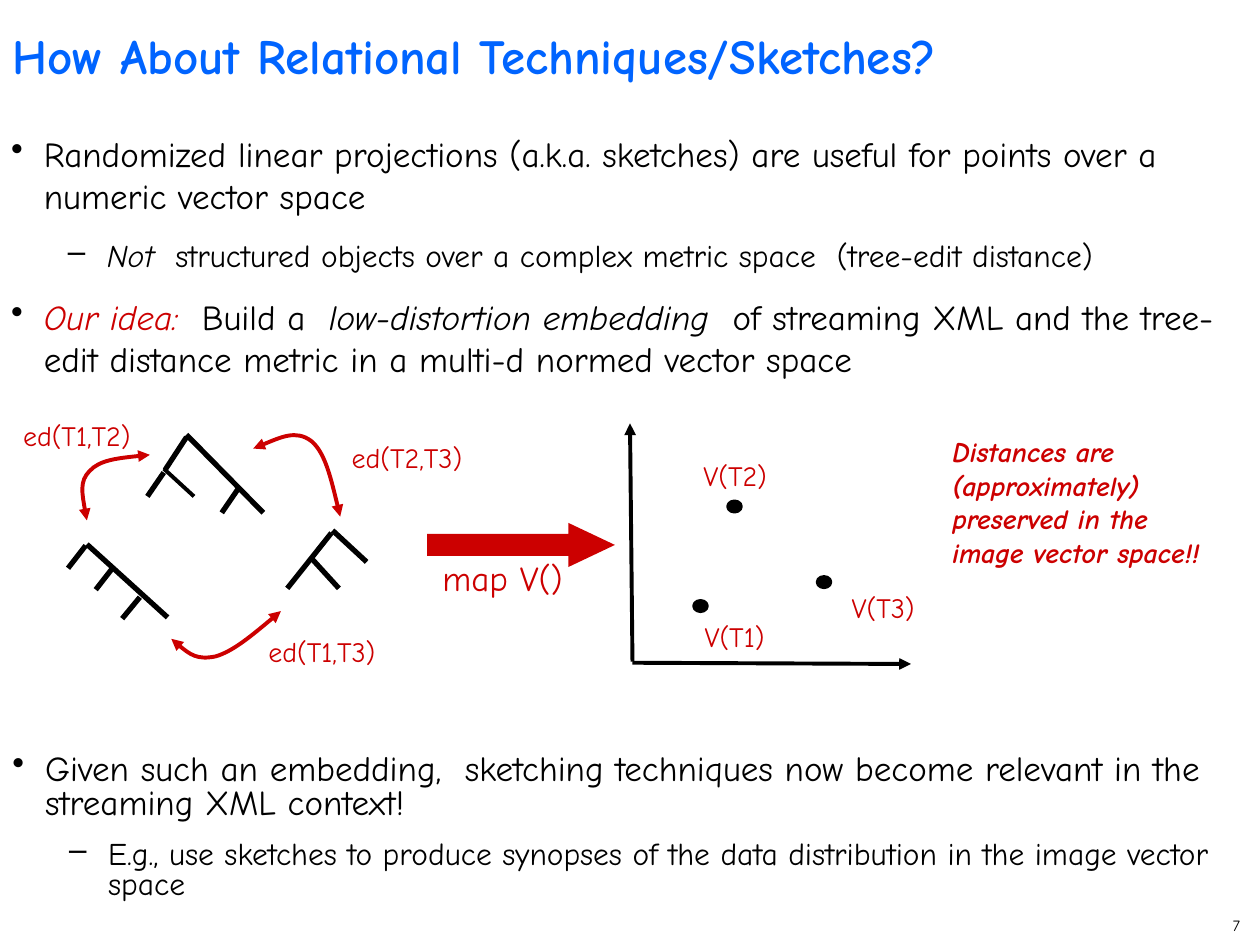
"""Build the slide on embedding XML trees into a vector space."""
from lxml.etree import SubElement
from pptx import Presentation
from pptx.dml.color import RGBColor
from pptx.enum.shapes import MSO_CONNECTOR, MSO_SHAPE as Shape
from pptx.enum.text import MSO_ANCHOR as Anchor, PP_ALIGN as Align
from pptx.oxml.ns import qn
from pptx.util import Inches, Pt

BLACK = RGBColor(0x00, 0x00, 0x00)
BLUE = RGBColor(0x00, 0x64, 0xFF)
RED = RGBColor(0xCC, 0x00, 0x00)
BULLETS = [("•", 0.26, -0.26, 20, 12.5), ("–", 0.76, -0.31, 18, 11.2)]


class Sketch:
    def __init__(self, page, font):
        self.page = page
        self.font = font

    def box(self, left, top, width, height, wrap=True, anchor=Anchor.TOP):
        box = self.page.shapes.add_textbox(*map(Inches, (left, top, width, height)))
        frame = box.text_frame
        frame.word_wrap = wrap
        frame.vertical_anchor = anchor
        return frame

    def style(self, para, size, color, bold=None, italic=None):
        font = para.font
        font.name, font.size = self.font, Pt(size)
        font.bold, font.italic = bold, italic
        font.color.rgb = color

    def text(self, place, words, size, color, align=Align.LEFT, wrap=True,
             anchor=Anchor.TOP, bold=None, italic=None):
        frame = self.box(*place, wrap, anchor)
        para = frame.paragraphs[0]
        para.text = words
        para.alignment = align
        self.style(para, size, color, bold, italic)
        return frame

    def label(self, left, top, width, words, size=16, height=0.37):
        self.text((left, top, width, height), words, size, RED, Align.CENTER, wrap=False)

    def bullets(self, place, items, spacing=None):
        frame = self.box(*place)
        for index, (level, spans) in enumerate(items):
            para = frame.add_paragraph() if index else frame.paragraphs[0]
            char, margin, indent, size, gap = BULLETS[level]
            para.level = level
            para.line_spacing = spacing
            if index:
                para.space_before = Pt(gap)
            props = para._p.get_or_add_pPr()
            props.set("marL", str(Inches(margin)))
            props.set("indent", str(Inches(indent)))
            tint = SubElement(props, qn("a:buClr"))
            SubElement(tint, qn("a:srgbClr"), val=str(BLACK))
            SubElement(props, qn("a:buChar"), char=char)
            self.style(para, size, BLACK)
            for words, italic, color in spans:
                span = para.add_run()
                span.text = words
                if italic:
                    span.font.italic = True
                if color != BLACK:
                    span.font.color.rgb = color

    def stroke(self, shape, color, weight, ends=()):
        shape.line.color.rgb = color
        shape.line.width = Pt(weight)
        for end in ends:
            SubElement(shape.line._get_or_add_ln(), qn(f"a:{end}"), type="triangle")

    def line(self, start, finish, weight=3, ends=()):
        line = self.page.shapes.add_connector(
            MSO_CONNECTOR.STRAIGHT, *map(Inches, (*start, *finish)))
        self.stroke(line, BLACK, weight, ends)
        SubElement(line._element.spPr, qn("a:effectLst"))

    def curve(self, start, *points):
        builder = self.page.shapes.build_freeform(*map(Inches, start), scale=1.0)
        builder.add_line_segments([tuple(map(Inches, point)) for point in points], close=False)
        curve = builder.convert_to_shape()
        route = next(curve._element.iter(qn("a:path")))
        steps = route.findall(qn("a:lnTo"))
        for first in range(0, len(steps), 3):
            bend = SubElement(route, qn("a:cubicBezTo"))
            for step in steps[first:first + 3]:
                bend.append(step[0])
                route.remove(step)
        curve.shadow.inherit = False
        curve.fill.background()
        self.stroke(curve, RED, 2.25, ("headEnd", "tailEnd"))

    def solid(self, kind, place, color):
        shape = self.page.shapes.add_shape(kind, *map(Inches, place))
        shape.shadow.inherit = False
        shape.fill.solid()
        shape.fill.fore_color.rgb = color
        shape.line.fill.background()
        return shape

    def dot(self, left, top):
        self.stroke(self.solid(Shape.OVAL, (left, top, 0.1, 0.08), BLACK), BLACK, 2.25)


def main():
    deck = Presentation()
    deck.slide_width, deck.slide_height = Inches(10), Inches(7.5)
    sketch = Sketch(deck.slides.add_slide(deck.slide_layouts[6]), "Comic Neue")

    sketch.text((7.86, 7.19, 2.08, 0.31), "7", 9, BLACK, Align.RIGHT, anchor=Anchor.MIDDLE)
    title = sketch.text((0, 0, 9, 1.17), "How About Relational Techniques/Sketches?",
                        28, BLUE, anchor=Anchor.BOTTOM, bold=True)
    title.margin_bottom = Inches(0.5)
    title.paragraphs[0].line_spacing = 0.85

    sketch.bullets((-0.01, 1, 10, 2.42), [
        (0, [("Randomized linear projections (a.k.a. sketches) are useful for points "
              "over a numeric vector space", False, BLACK)]),
        (1, [("Not", True, BLACK),
             ("  structured objects over a complex metric space  (tree-edit distance)",
              False, BLACK)]),
        (0, [("Our idea:", True, RED), ("  Build a  ", False, BLACK),
             ("low-distortion embedding", True, BLACK),
             ("  of streaming XML and the tree-edit distance metric in a multi-d "
              "normed vector space", False, BLACK)]),
    ])
    sketch.bullets((0, 5.94, 10, 1.35), [
        (0, [("Given such an embedding,  sketching techniques now become relevant "
              "in the streaming XML context!", False, BLACK)]),
        (1, [("E.g., use sketches to produce synopses of the data distribution "
              "in the image vector space", False, BLACK)]),
    ], spacing=0.8)

    branches = [
        ((1.48, 3.45), (2.09, 4.07)), ((1.89, 3.88), (1.76, 4.07)),
        ((1.48, 3.47), (1.31, 3.73)), ((1.3, 3.75), (1.17, 3.94)),
        ((0.69, 4.32), (1.33, 4.9)), ((1.11, 4.74), (0.97, 4.91)),
        ((0.68, 4.33), (0.54, 4.51)), ((0.9, 4.5), (0.76, 4.68)),
        ((2.64, 4.21), (2.91, 4.46)), ((2.63, 4.23), (2.28, 4.67)),
        ((2.48, 4.44), (2.69, 4.67)),
    ]
    for start, finish in branches:
        sketch.line(start, finish)
    sketch.line((1.3, 3.72), (1.54, 3.94), 2.25)

    sketch.curve((0.69, 4.13), (0.66, 3.97), (0.63, 3.82), (0.71, 3.74),
                 (0.79, 3.65), (0.99, 3.63), (1.19, 3.61))
    sketch.curve((1.36, 5.07), (1.46, 5.16), (1.56, 5.24), (1.71, 5.21),
                 (1.85, 5.17), (2.04, 5.01), (2.23, 4.85))
    sketch.curve((2.01, 3.56), (2.18, 3.49), (2.35, 3.41), (2.47, 3.5),
                 (2.58, 3.59), (2.64, 3.85), (2.7, 4.1))
    sketch.label(0.08, 3.27, 1.06, "ed(T1,T2)")
    sketch.label(2.03, 4.99, 1.05, "ed(T1,T3)")
    sketch.label(2.69, 3.45, 1.08, "ed(T2,T3)")

    sketch.line((5.02, 5.26), (7.23, 5.27), 2.25, ("tailEnd",))
    sketch.line((5.02, 5.25), (5, 3.36), 2.25, ("tailEnd",))
    for left, top in [(5.78, 3.98), (5.51, 4.77), (6.49, 4.58)]:
        sketch.dot(left, top)
    arrow = sketch.solid(Shape.RIGHT_ARROW, (3.39, 4.15, 1.49, 0.35), RED)
    arrow.adjustments[1] = 1.055
    sketch.label(3.41, 4.37, 1.16, "map V()", 20, 0.43)
    note = "Distances are (approximately)\vpreserved in the\vimage vector space!!"
    sketch.text((7.46, 3.4, 2.54, 1.17), note, 16, RED, bold=True, italic=True)
    sketch.label(5.48, 3.59, 0.71, "V(T2)")
    sketch.label(5.49, 4.87, 0.68, "V(T1)")
    sketch.label(6.66, 4.64, 0.7, "V(T3)")

    deck.save("out.pptx")


if __name__ == "__main__":
    main()
